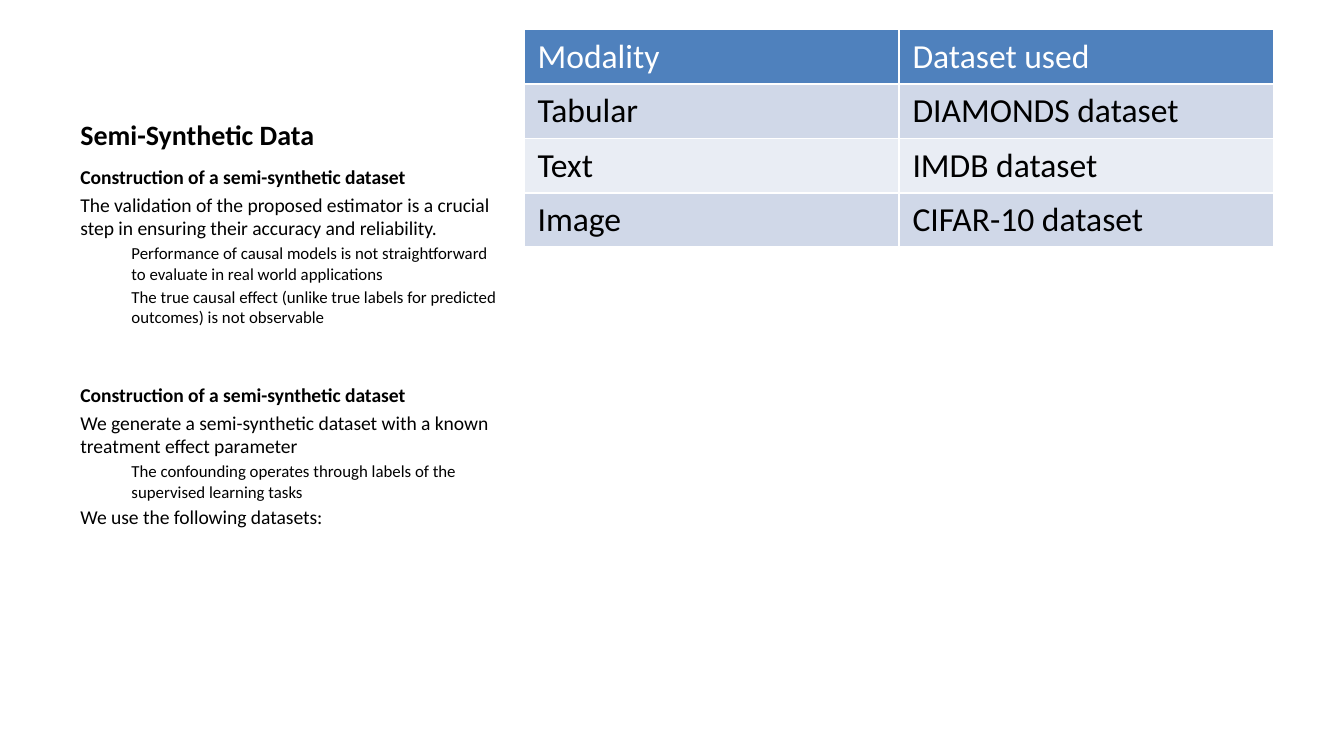
from pptx import Presentation
from pptx.dml.color import RGBColor
from pptx.enum.text import MSO_ANCHOR as Anchor
from pptx.util import Inches, Pt

FONT = "Calibri"
BLACK = RGBColor(0x00, 0x00, 0x00)
WHITE = RGBColor(0xFF, 0xFF, 0xFF)
HEADER = RGBColor(0x4F, 0x81, 0xBD)
BANDS = [RGBColor(0xE9, 0xED, 0xF4), RGBColor(0xD0, 0xD8, 0xE8)]

STYLES = {
    "title": dict(size=15, bold=True, before=0, indent=0),
    "heading": dict(size=10.5, bold=True, before=30, indent=0),
    "body": dict(size=10.5, bold=False, before=2.1, indent=0),
    "detail": dict(size=9, bold=False, before=1.8, indent=0.38),
}

SECTION = "Construction of a semi-synthetic dataset"
BODY = [
    ("heading", SECTION),
    ("body", "The validation of the proposed estimator is a crucial step in "
             "ensuring their accuracy and reliability."),
    ("detail", "Performance of causal models is not straightforward to "
               "evaluate in real world applications"),
    ("detail", "The true causal effect (unlike true labels for predicted "
               "outcomes) is not observable"),
    ("heading", SECTION),
    ("body", "We generate a semi-synthetic dataset with a known treatment "
             "effect parameter"),
    ("detail", "The confounding operates through labels of the supervised "
               "learning tasks"),
    ("body", "We use the following datasets:"),
]

DATASETS = [
    ("Modality", "Dataset used"),
    ("Tabular", "DIAMONDS dataset"),
    ("Text", "IMDB dataset"),
    ("Image", "CIFAR-10 dataset"),
]


def add_run(p, text, size, color=BLACK, bold=False):
    """Append a formatted run to a paragraph."""
    r = p.add_run()
    r.text = text
    r.font.name = FONT
    r.font.size = Pt(size)
    r.font.bold = bold
    r.font.color.rgb = color


def add_text(slide, left, top, width, height, paragraphs, anchor=Anchor.TOP):
    """Add a wrapped text box of (style, text) paragraphs."""
    box = slide.shapes.add_textbox(
        Inches(left), Inches(top), Inches(width), Inches(height))
    tf = box.text_frame
    tf.word_wrap = True
    tf.vertical_anchor = anchor
    for i, (name, text) in enumerate(paragraphs):
        style = STYLES[name]
        p = tf.paragraphs[0] if i == 0 else tf.add_paragraph()
        if i > 0:
            p.space_before = Pt(style["before"])
        if style["indent"]:
            p.level = 1
            pPr = p._p.get_or_add_pPr()
            pPr.set("marL", str(Inches(style["indent"])))
            pPr.set("indent", "0")
        add_run(p, text, style["size"], bold=style["bold"])


def add_dataset_table(slide, left, top, width, height, rows):
    """Add a two-tone table with a coloured header row."""
    table = slide.shapes.add_table(
        len(rows), len(rows[0]), Inches(left), Inches(top),
        Inches(width), Inches(height)).table
    for i, row in enumerate(rows):
        for j, text in enumerate(row):
            cell = table.cell(i, j)
            cell.fill.solid()
            cell.fill.fore_color.rgb = BANDS[i % 2] if i else HEADER
            add_run(cell.text_frame.paragraphs[0], text, 18,
                    BLACK if i else WHITE)


def main():
    """Build and save the slide."""
    prs = Presentation()
    prs.slide_width = Inches(10)
    prs.slide_height = prs.slide_width * 9 // 16
    slide = prs.slides.add_slide(prs.slide_layouts[6])
    add_text(slide, 0.5, 0.22, 3.29, 0.95,
             [("title", "Semi-Synthetic Data")], Anchor.BOTTOM)
    add_text(slide, 0.5, 1.18, 3.29, 3.85, BODY)
    add_dataset_table(slide, 3.9, 0.22, 5.58, 1.62, DATASETS)
    prs.save("out.pptx")


if __name__ == "__main__":
    main()
